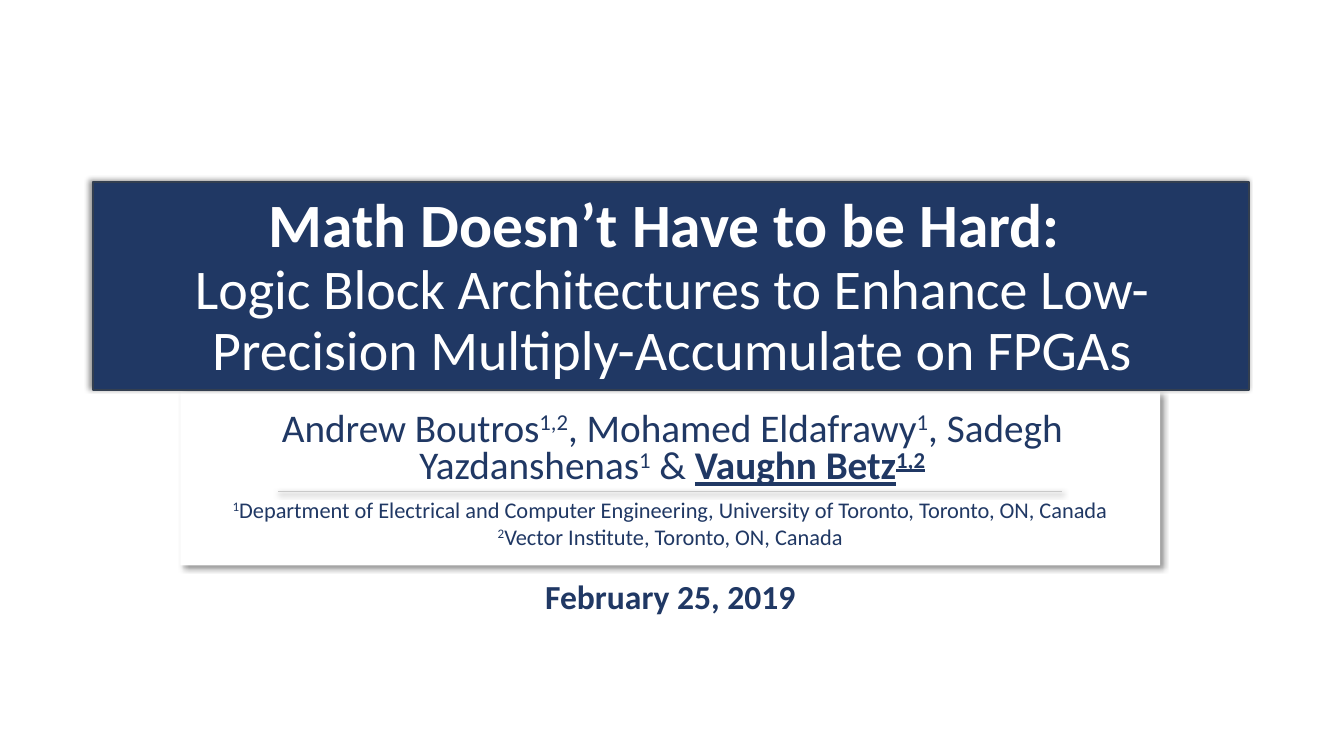
from lxml.etree import SubElement
from pptx import Presentation
from pptx.dml.color import RGBColor
from pptx.enum.shapes import MSO_CONNECTOR, MSO_SHAPE
from pptx.enum.text import MSO_ANCHOR, PP_ALIGN
from pptx.oxml.ns import qn
from pptx.util import Pt

# Each paragraph is a list of (text, format) runs.
SUP = {"sup": True}
LEAD = {"bold": True, "underline": True}
TITLE = [[
    ("Math Doesn’t Have to be Hard: \v", {"size": "title", "bold": True}),
    ("Logic Block Architectures to Enhance Low-Precision "
     "Multiply-Accumulate on FPGAs", {}),
]]
AUTHORS = [[
    ("Andrew Boutros", {}), ("1,2", SUP),
    (", Mohamed Eldafrawy", {}), ("1", SUP),
    (", Sadegh Yazdanshenas", {}), ("1", SUP),
    (" & ", {}), ("Vaughn Betz", LEAD), ("1,2", LEAD | SUP),
]]
AFFILIATIONS = [
    [("1", SUP), ("Department of Electrical and Computer Engineering, "
                  "University of Toronto, Toronto, ON, Canada", {})],
    [("2", SUP), ("Vector Institute, Toronto, ON, Canada", {})],
]
DATE = [[("February 25, 2019", {"bold": True})]]

THEME = {
    "font": "Calibri",
    "navy": "203864", "white": "FFFFFF", "edge": "333F50",
    "rule": "C9C9C9", "shadow": "000000",
    "title": 44, "subtitle": 40, "authors": 28, "date": 24, "small": 16,
}

# Left, top, width, height in points
CARD = (128.9, 280.1, 699.8, 123.8)
BAND = (66.2, 130.3, 825.8, 148.3)
TITLE_BOX = (120, 88.6, 720, 187.9)
AUTHORS_BOX = (131, 290.9, 698.4, 62.6)
AFFILIATIONS_BOX = (CARD[0], 350.6, CARD[2], 46)
DATE_BOX = (382.3, 407.5, 195.1, 36)
RULE_INSET, RULE_Y = 69.8, 351.4


def color(name):
    return RGBColor.from_string(THEME[name])


def add_shadow(sp, dist, angle):
    """Replace the default effect with a soft outer shadow."""
    spPr = sp._element.spPr
    effects = SubElement(spPr, qn("a:effectLst"))
    outer = SubElement(effects, qn("a:outerShdw"), blurRad=str(Pt(4)),
                       dist=str(Pt(dist)), dir=str(angle * 60000),
                       algn="ctr", rotWithShape="0")
    clr = SubElement(outer, qn("a:srgbClr"), val=THEME["shadow"])
    SubElement(clr, qn("a:alpha"), val="40000")


def add_panel(s, box, fill, angle, line=None):
    sp = s.shapes.add_shape(MSO_SHAPE.RECTANGLE, *map(Pt, box))
    sp.fill.solid()
    sp.fill.fore_color.rgb = color(fill)
    if line:
        sp.line.color.rgb = color(line)
        sp.line.width = Pt(1.5)
    else:
        sp.line.fill.background()
    add_shadow(sp, 3, angle)


def add_text(s, box, paragraphs, *, size, ink="navy", align=PP_ALIGN.CENTER,
             spacing=None, anchor=MSO_ANCHOR.TOP, wrap=True):
    tf = s.shapes.add_textbox(*map(Pt, box)).text_frame
    tf.word_wrap = wrap
    tf.vertical_anchor = anchor
    for i, runs in enumerate(paragraphs):
        p = tf.add_paragraph() if i else tf.paragraphs[0]
        p.alignment = align
        p.line_spacing = spacing
        for text, fmt in runs:
            # A vertical tab ends the line within the paragraph.
            r = p.add_run()
            r.text = text.rstrip("\v")
            if text.endswith("\v"):
                p.add_line_break()
            r.font.name = THEME["font"]
            r.font.size = Pt(THEME[fmt.get("size", size)])
            r.font.color.rgb = color(ink)
            r.font.bold = fmt.get("bold", False)
            r.font.underline = fmt.get("underline", False)
            if fmt.get("sup"):
                r.font._element.set("baseline", "30000")


def add_rule(s):
    left, right = CARD[0] + RULE_INSET, CARD[0] + CARD[2] - RULE_INSET
    ln = s.shapes.add_connector(MSO_CONNECTOR.STRAIGHT, Pt(left), Pt(RULE_Y),
                                Pt(right), Pt(RULE_Y))
    ln.line.color.rgb = color("rule")
    ln.line.width = Pt(0.75)
    add_shadow(ln, 1, 90)


def main():
    prs = Presentation()
    prs.slide_width, prs.slide_height = Pt(960), Pt(540)
    s = prs.slides.add_slide(prs.slide_layouts[6])
    add_panel(s, CARD, "white", 45)
    add_panel(s, BAND, "navy", 225, line="edge")
    add_text(s, TITLE_BOX, TITLE, size="subtitle", ink="white", spacing=0.9,
             anchor=MSO_ANCHOR.BOTTOM)
    add_text(s, AUTHORS_BOX, AUTHORS, size="authors", spacing=0.8)
    add_text(s, AFFILIATIONS_BOX, AFFILIATIONS, size="small")
    add_rule(s)
    add_text(s, DATE_BOX, DATE, size="date", align=PP_ALIGN.LEFT, wrap=False)
    prs.save("out.pptx")


if __name__ == "__main__":
    main()
